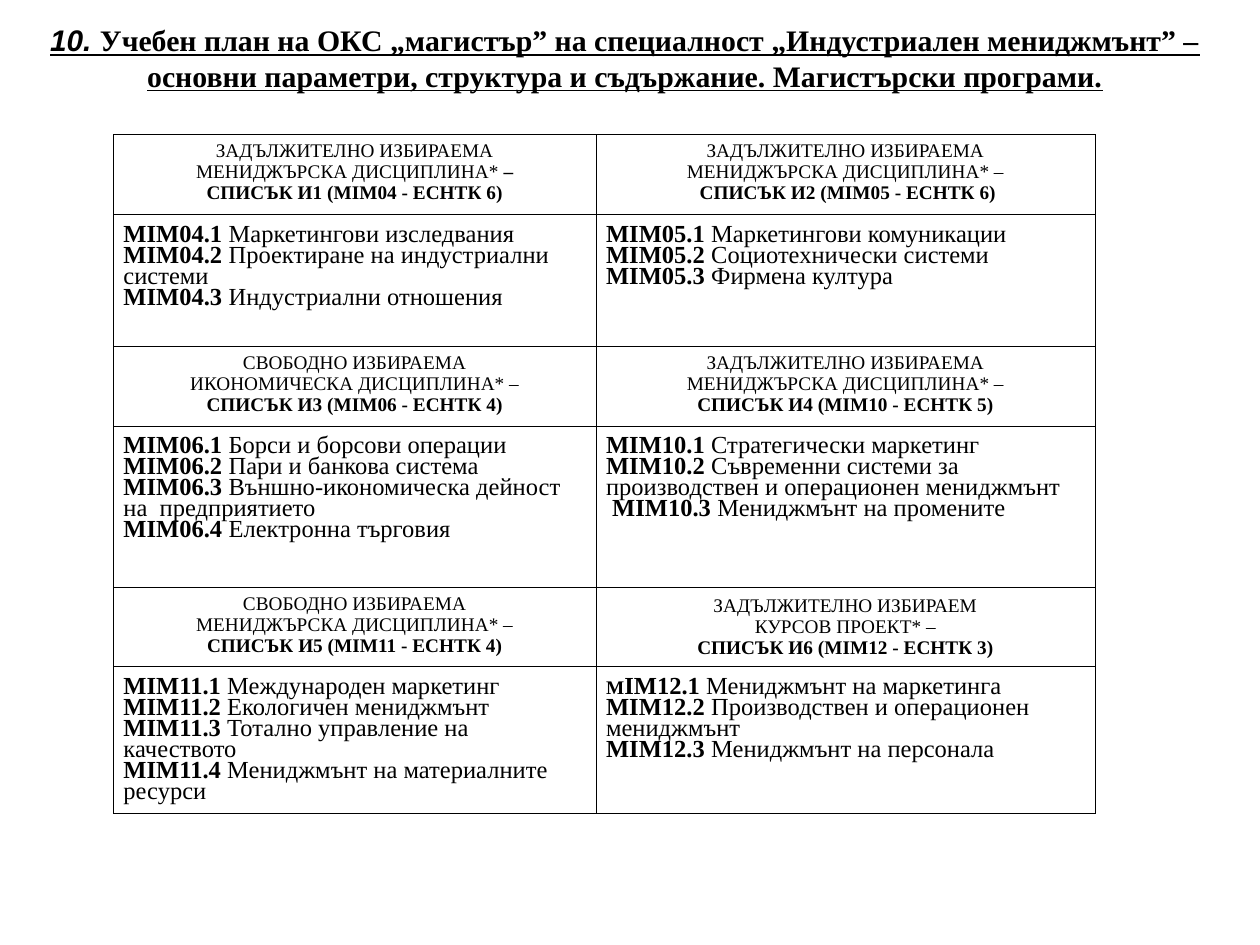
from lxml import etree
from pptx import Presentation
from pptx import util as u
from pptx.dml.color import RGBColor
from pptx.enum import text
from pptx.oxml.ns import qn

BLACK = RGBColor(0, 0, 0)
SERIF = "Times New Roman"
HEADING_SIZE = 11
COLUMN_WIDTHS = (3.83, 3.96)
ROW_HEIGHTS = (0.63, 1.05, 0.63, 1.28, 0.63, 1.07)

TITLE_NUMBER = "10. "
TITLE = ("Учебен план на ОКС „магистър” на специалност „Индустриален мениджмънт” – "
         "основни параметри, структура и съдържание. Магистърски програми.")

REQUIRED = "ЗАДЪЛЖИТЕЛНО ИЗБИРАЕМА"
FREE = "СВОБОДНО ИЗБИРАЕМА"
MANAGEMENT = "МЕНИДЖЪРСКА ДИСЦИПЛИНА* –"

CURRICULUM = [
    [
        [REQUIRED, "МЕНИДЖЪРСКА ДИСЦИПЛИНА*| –|", "|СПИСЪК И1 (MIM04 - ЕСНТК 6)|"],
        [REQUIRED, MANAGEMENT, "| СПИСЪК И2 (МIM05 - ЕСНТК 6)|"],
    ],
    [
        ["|MIM04.1| Маркетингови изследвания",
         "|MIM04.2| Проектиране на индустриални системи",
         "|MIM04.3| Индустриални отношения"],
        ["|MIM05.1| Маркетингови комуникации",
         "|MIM05.2| Социотехнически системи",
         "|MIM05.3| Фирмена култура"],
    ],
    [
        [FREE, "ИКОНОМИЧЕСКА ДИСЦИПЛИНА* –", "|СПИСЪК И3 (МIM06 - ЕСНТК 4)|"],
        [REQUIRED, MANAGEMENT, "|СПИСЪК И4 (МIM10 - ЕСНТК 5)|"],
    ],
    [
        ["|MIM06.1| Борси и борсови операции",
         "|MIM06.2| Пари и банкова система",
         "|MIM06.3| Външно-икономическа дейност на  предприятието",
         "|MIM06.4| Електронна търговия"],
        ["|MIM10.1| Стратегически маркетинг",
         "|MIM10.2| Съвременни системи за производствен и операционен мениджмънт",
         " |MIM10.3| Мениджмънт на промените"],
    ],
    [
        [FREE, MANAGEMENT, "|СПИСЪК И5 (МIM11 - ЕСНТК 4)|"],
        ["ЗАДЪЛЖИТЕЛНО ИЗБИРАЕМ", "КУРСОВ ПРОЕКТ* –", "|СПИСЪК И6 (МIM12 - ЕСНТК 3)|"],
    ],
    [
        ["|MIM11.1| Международен маркетинг",
         "|MIM11.2| Екологичен мениджмънт",
         "|MIM11.3| Тотално управление на качеството",
         "|MIM11.4| Мениджмънт на материалните ресурси"],
        ["|M||IM12.1| Мениджмънт на маркетинга",
         "|MIM12.2| Производствен и операционен мениджмънт",
         "|MIM12.3| Мениджмънт на персонала"],
    ],
]


def add_run(paragraph, words, size, bold, font_name=SERIF):
    """Append a black run and return it."""
    run = paragraph.add_run()
    run.text = words
    run.font.name = font_name
    run.font.size = u.Pt(size)
    run.font.bold = bold
    run.font.color.rgb = BLACK
    return run


def add_title(slide, left, top, width, height):
    """Place the underlined two-part title in the given box."""
    text_frame = slide.shapes.add_textbox(left, top, width, height).text_frame
    text_frame.word_wrap = True
    text_frame.vertical_anchor = text.MSO_ANCHOR.MIDDLE
    paragraph = text_frame.paragraphs[0]
    paragraph.alignment = text.PP_ALIGN.CENTER
    paragraph.space_after = u.Pt(6)
    number = add_run(paragraph, TITLE_NUMBER, 17, True, "Arial")
    number.font.italic = True
    heading = add_run(paragraph, TITLE, 17, True)
    for run in (number, heading):
        run.font.underline = True


def set_borders(cell):
    """Draw a thin black line on each side of a cell."""
    properties = cell._tc.get_or_add_tcPr()
    for position, side in enumerate(("lnL", "lnR", "lnT", "lnB")):
        line = etree.Element(qn(f"a:{side}"), w=str(u.Pt(0.45)))
        fill = etree.SubElement(line, qn("a:solidFill"))
        etree.SubElement(fill, qn("a:srgbClr"), val=str(BLACK))
        properties.insert(position, line)


def fill_cell(cell, lines, is_heading):
    """Write lines into a cell, with bold parts between bars."""
    cell.fill.background()
    set_borders(cell)
    cell.margin_left = cell.margin_right = u.Inches(0.08)
    cell.margin_top = cell.margin_bottom = u.Inches(0.05)
    for index, line in enumerate(lines):
        paragraph = cell.text_frame.paragraphs[0] if index == 0 else cell.text_frame.add_paragraph()
        paragraph.alignment = text.PP_ALIGN.CENTER if is_heading else text.PP_ALIGN.LEFT
        if is_heading or index > 0:
            paragraph.line_spacing = u.Pt(12)
        for part, words in enumerate(line.split("|")):
            if words:
                add_run(paragraph, words, HEADING_SIZE if is_heading else 14, part % 2 == 1)


def add_curriculum(slide, left, top, width, height):
    """Place the table of elective lists in the given box."""
    table = slide.shapes.add_table(
        len(ROW_HEIGHTS), len(COLUMN_WIDTHS), left, top, width, height).table
    table.first_row = table.horz_banding = False
    for column, column_width in zip(table.columns, COLUMN_WIDTHS):
        column.width = u.Inches(column_width)
    for row, row_height in zip(table.rows, ROW_HEIGHTS):
        row.height = u.Inches(row_height)
    for row_index, row_lists in enumerate(CURRICULUM):
        for column_index, lines in enumerate(row_lists):
            fill_cell(table.cell(row_index, column_index), lines, row_index % 2 == 0)
    table.cell(4, 1).vertical_anchor = text.MSO_ANCHOR.MIDDLE
    first_letter = table.cell(5, 1).text_frame.paragraphs[0].runs[0]
    first_letter.font.size = u.Pt(HEADING_SIZE)


def main():
    """Build and save the slide."""
    presentation = Presentation()
    presentation.slide_width = u.Inches(10)
    presentation.slide_height = u.Inches(7.5)
    slide = presentation.slides.add_slide(presentation.slide_layouts[6])
    add_title(slide, u.Inches(-0.04), u.Inches(0), u.Inches(10), u.Inches(0.91))
    add_curriculum(slide, u.Inches(0.9), u.Inches(1.07), u.Inches(7.78), u.Inches(5.3))
    presentation.save("out.pptx")


if __name__ == "__main__":
    main()
